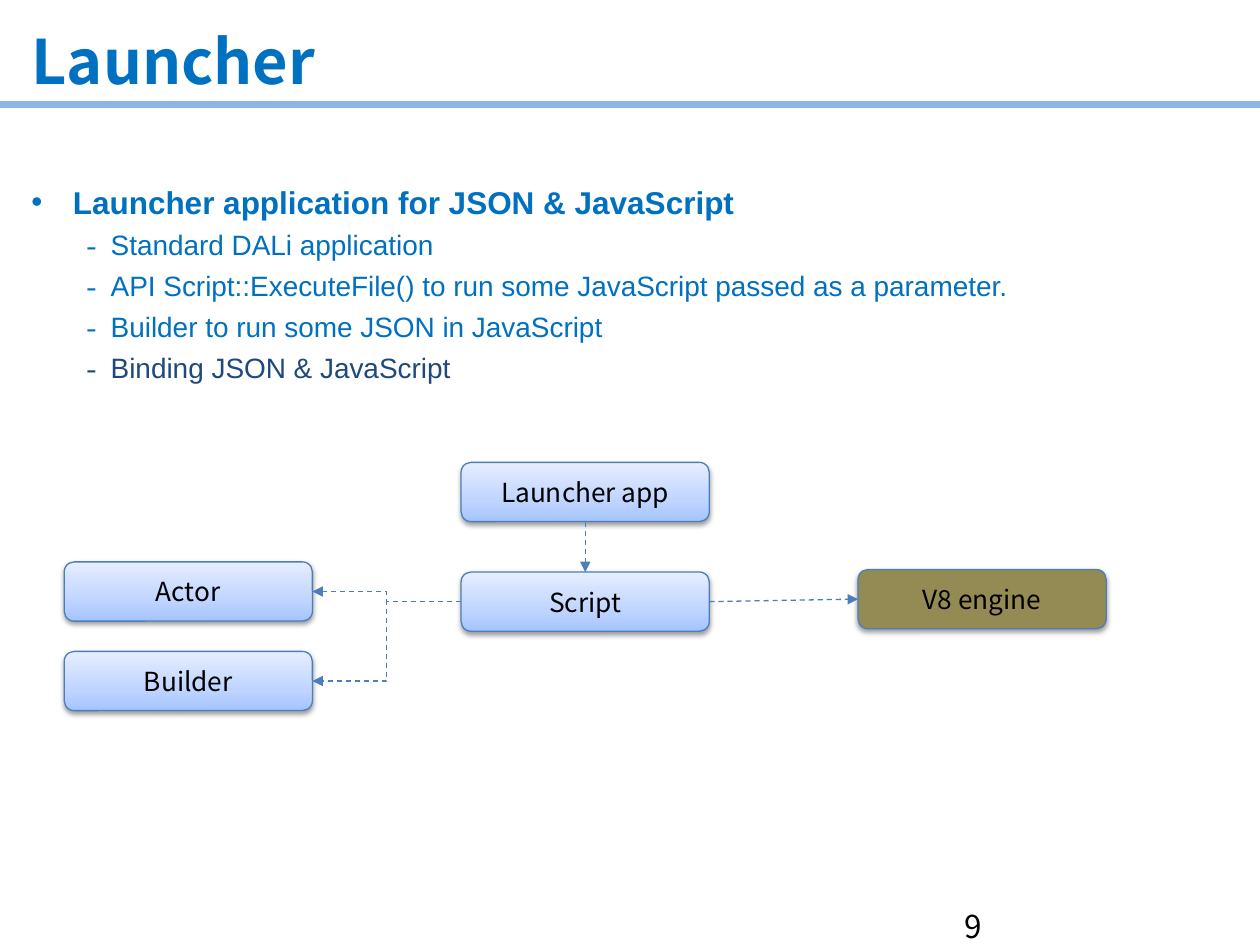
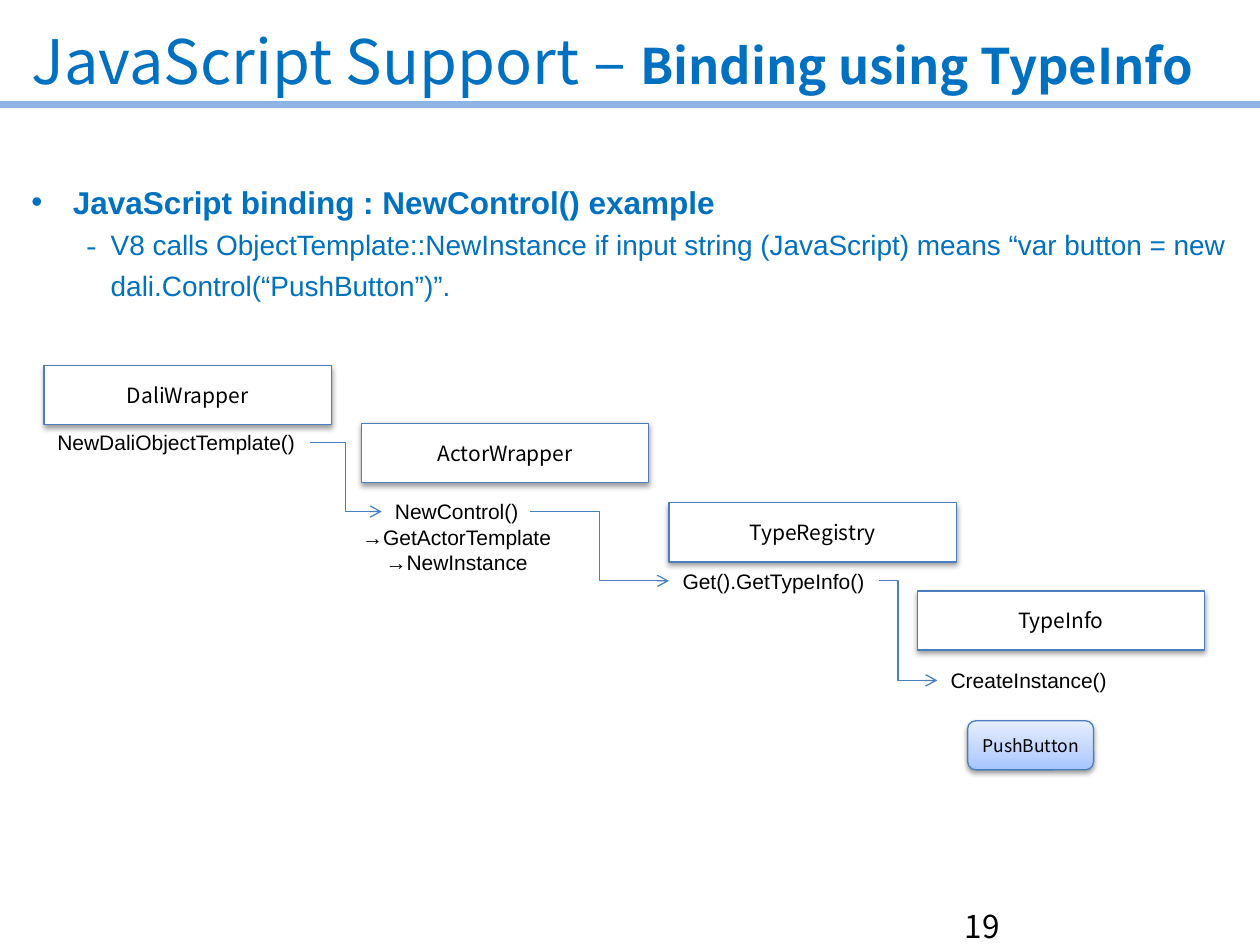
from dataclasses import dataclass

from lxml.etree import SubElement
from pptx import Presentation
from pptx.dml.color import RGBColor
from pptx.enum.dml import MSO_LINE_DASH_STYLE as DASH
from pptx.enum.shapes import MSO_CONNECTOR as CXN, MSO_SHAPE as SHAPE
from pptx.enum.text import MSO_ANCHOR as ANCHOR, MSO_AUTO_SIZE as AUTOSIZE, PP_ALIGN as ALIGN
from pptx.oxml.ns import qn
from pptx.util import Inches, Pt


@dataclass(frozen=True)
class Theme:
    """Colours, fonts and type sizes shared by the slides."""
    blue: str = "0070C0"
    navy: str = "1F497D"
    band: str = "8EB4E3"
    outline: str = "4B7EBC"
    black: str = "000000"
    white: str = "FFFFFF"
    olive: str = "948A54"
    gradient: tuple = ((0, "A4C4FF"), (35, "BFD4FF"), (100, "E6EEFF"))
    heading_font: str = "Noto Sans CJK KR"
    body_font: str = "Arial"
    title: int = 35
    subtitle: int = 28
    head: int = 18
    item: int = 16
    node: int = 15
    label: int = 12
    button: int = 10


T = Theme()
TOP, LEFT, BOTTOM, RIGHT = range(4)


def rgb(color):
    """Turn a hex string into a colour."""
    return RGBColor.from_string(color)


def add_xml(parent, tag, **attrs):
    """Append a drawing element with the given attributes."""
    return SubElement(parent, qn(tag), {k: str(v) for k, v in attrs.items()})


def add_run(p, text, size, color=T.black, font=T.heading_font, bold=False):
    """Append one formatted run to a paragraph."""
    r = p.add_run()
    r.text = text
    r.font.name, r.font.size, r.font.bold = font, Pt(size), bold
    r.font.color.rgb = rgb(color)


def add_text(slide, box, lines, size, font=T.body_font, align=ALIGN.CENTER, wrap=True):
    """Add a text box with one paragraph for each line."""
    tf = slide.shapes.add_textbox(*map(Inches, box)).text_frame
    tf.word_wrap = wrap
    for i, line in enumerate(lines):
        p = tf.add_paragraph() if i else tf.paragraphs[0]
        p.alignment = align
        add_run(p, line, size, font=font)


def style_line(cxn, color, width):
    """Give a connector its colour and width, without a shadow."""
    cxn.line.color.rgb = rgb(color)
    cxn.line.width = Pt(width)
    add_xml(cxn._element.spPr, "a:effectLst")


def add_arrow(slide, start=(0, 0), end=(0, 0), kind=CXN.ELBOW, head="arrow", dash=None, bend=0.5):
    """Add a thin arrow, straight or bent, between two points."""
    cxn = slide.shapes.add_connector(kind, *map(Inches, (*start, *end)))
    style_line(cxn, T.outline, 0.75)
    if dash:
        cxn.line.dash_style = dash
    add_xml(cxn.line._get_or_add_ln(), "a:tailEnd", type=head)
    if bend != 0.5:
        guides = cxn._element.spPr.find(".//" + qn("a:avLst"))
        add_xml(guides, "a:gd", name="adj1", fmla=f"val {round(bend * 100000)}")
    return cxn


def add_link(slide, source, source_side, target, target_side, kind=CXN.ELBOW):
    """Join two nodes with a dashed arrow glued to their sides."""
    cxn = add_arrow(slide, kind=kind, head="triangle", dash=DASH.DASH)
    cxn.begin_connect(source, source_side)
    cxn.end_connect(target, target_side)


def fill_gradient(sp):
    """Fill a shape with the light blue gradient, darkest at the bottom."""
    sp.fill.gradient()
    sp.fill.gradient_angle = 90
    stops = sp._element.spPr.find(".//" + qn("a:gsLst"))
    for stop in list(stops):
        stops.remove(stop)
    for pos, color in T.gradient:
        add_xml(add_xml(stops, "a:gs", pos=pos * 1000), "a:srgbClr", val=color)


def add_shadow(sp):
    """Give a shape a soft shadow below it."""
    sp.shadow.inherit = False
    effects = sp._element.spPr.find(qn("a:effectLst"))
    shadow = add_xml(effects, "a:outerShdw", blurRad=Pt(3.1), dist=Pt(1.6), dir=5400000, rotWithShape=0)
    add_xml(add_xml(shadow, "a:srgbClr", val=T.black), "a:alpha", val=38000)


def add_node(slide, box, text, size, fill=None, kind=SHAPE.ROUNDED_RECTANGLE):
    """Add a labelled box, with the gradient unless a fill is given."""
    sp = slide.shapes.add_shape(kind, *map(Inches, box))
    if fill:
        sp.fill.solid()
        sp.fill.fore_color.rgb = rgb(fill)
    else:
        fill_gradient(sp)
    sp.line.color.rgb = rgb(T.outline)
    sp.line.width = Pt(0.75)
    add_shadow(sp)
    tf = sp.text_frame
    tf.vertical_anchor = ANCHOR.MIDDLE
    p = tf.paragraphs[0]
    p.alignment = ALIGN.CENTER
    add_run(p, text, size)
    return sp


def set_bullet(p, char, margin, indent, font, percent=100):
    """Give a paragraph a hanging bullet."""
    pPr = p._p.get_or_add_pPr()
    pPr.set("marL", str(Inches(margin)))
    pPr.set("indent", str(Inches(indent)))
    add_xml(pPr, "a:buSzPct", val=percent * 1000)
    add_xml(pPr, "a:buFont", typeface=font)
    add_xml(pPr, "a:buChar", char=char)


def add_bullets(slide, width, height, head, items):
    """Add the bold heading bullet and the dashed items below it."""
    sp = slide.shapes.add_textbox(Inches(0.09), Inches(0.79), Inches(width), Inches(height))
    tf = sp.text_frame
    tf.word_wrap = True
    tf.margin_left = tf.margin_right = tf.margin_bottom = Inches(0.1)
    tf.margin_top = Inches(0.54)
    p = tf.paragraphs[0]
    p.line_spacing = 1.4
    set_bullet(p, "•", 0.39, -0.33, T.body_font)
    add_run(p, head, T.head, T.blue, T.body_font, True)
    for text, color in items:
        p = tf.add_paragraph()
        p.level = 1
        p.line_spacing = 1.2
        p.space_before = Pt(0.4)
        set_bullet(p, "-", 0.69, -0.19, T.heading_font, 110)
        add_run(p, text, T.item, color, T.body_font)


def add_slide(prs, title_runs, number):
    """Start a slide with its band, title and page number."""
    slide = prs.slides.add_slide(prs.slide_layouts[5])
    band = slide.shapes.add_connector(CXN.STRAIGHT, 0, Inches(0.83), prs.slide_width, Inches(0.83))
    style_line(band, T.band, 4)
    sp = slide.shapes.title
    sp.left, sp.top, sp.width, sp.height = map(Inches, (0.15, 0.13, 9.61, 0.69))
    tf = sp.text_frame
    tf.auto_size = AUTOSIZE.NONE
    tf.vertical_anchor = ANCHOR.MIDDLE
    p = tf.paragraphs[0]
    p.alignment = ALIGN.LEFT
    for text, size, bold in title_runs:
        add_run(p, text, size, T.blue, bold=bold)
    add_text(slide, (7.56, 7.15, 2.36, 0.29), [str(number)], T.head, T.heading_font, ALIGN.LEFT)
    return slide


def build_launcher(prs):
    """Build the slide on the launcher application."""
    slide = add_slide(prs, [("Launcher", T.title, True)], 9)
    add_bullets(slide, 9.69, 2.34, "Launcher application for JSON & JavaScript", [
        ("Standard DALi application", T.blue),
        ("API Script::ExecuteFile() to run some JavaScript passed as a parameter.", T.blue),
        ("Builder to run some JSON in JavaScript", T.blue),
        ("Binding JSON & JavaScript", T.navy),
    ])
    columns = [0.51 + 3.15 * i for i in range(3)]

    def node(column, top, text, fill=None):
        """Add one box of the diagram in a column."""
        return add_node(slide, (columns[column], top, 1.97, 0.47), text, T.node, fill)

    launcher = node(1, 3.67, "Launcher app")
    script = node(1, 4.54, "Script")
    actor = node(0, 4.46, "Actor")
    builder = node(0, 5.17, "Builder")
    engine = node(2, 4.52, "V8 engine", T.olive)
    add_link(slide, launcher, BOTTOM, script, TOP, CXN.STRAIGHT)
    add_link(slide, script, LEFT, actor, RIGHT)
    add_link(slide, script, LEFT, builder, RIGHT)
    add_link(slide, script, RIGHT, engine, LEFT, CXN.STRAIGHT)


def build_binding(prs):
    """Build the slide on binding through type information."""
    slide = add_slide(prs, [("JavaScript Support – ", T.title, False),
                            ("Binding using TypeInfo", T.subtitle, True)], 19)
    add_bullets(slide, 9.91, 2.12, "JavaScript binding : NewControl() example", [
        ("V8 calls ObjectTemplate::NewInstance if input string (JavaScript) means "
         "“var button = new dali.Control(“PushButton”)”.", T.blue),
    ])
    steps = [
        ("DaliWrapper", 0.35, 2.9, (0.35, 3.36, 2.1, 0.3), ["NewDaliObjectTemplate()"]),
        ("ActorWrapper", 2.87, 3.36, (2.72, 3.91, 1.81, 0.91),
         ["NewControl()", "→GetActorTemplate", "→NewInstance"]),
        ("TypeRegistry", 5.31, 3.99, (5.31, 4.46, 1.66, 0.3), ["Get().GetTypeInfo()"]),
        ("TypeInfo", 7.28, 4.69, (7.44, 5.25, 1.45, 0.3), ["CreateInstance()"]),
    ]
    for name, left, top, label_box, calls in steps:
        add_node(slide, (left, top, 2.28, 0.47), name, T.label, T.white, SHAPE.RECTANGLE)
        add_text(slide, label_box, calls, T.label, wrap=len(calls) > 1)
    add_arrow(slide, (2.46, 3.51), (3.03, 4.06))
    add_arrow(slide, (4.21, 4.06), (5.31, 4.61))
    add_arrow(slide, (6.98, 4.61), (7.44, 5.4), bend=0.32)
    add_node(slide, (7.68, 5.72, 1, 0.39), "PushButton", T.button)


def main():
    """Build the presentation and save it."""
    prs = Presentation()
    prs.slide_width, prs.slide_height = Inches(10), Inches(7.5)
    build_launcher(prs)
    build_binding(prs)
    prs.save("out.pptx")


main()
